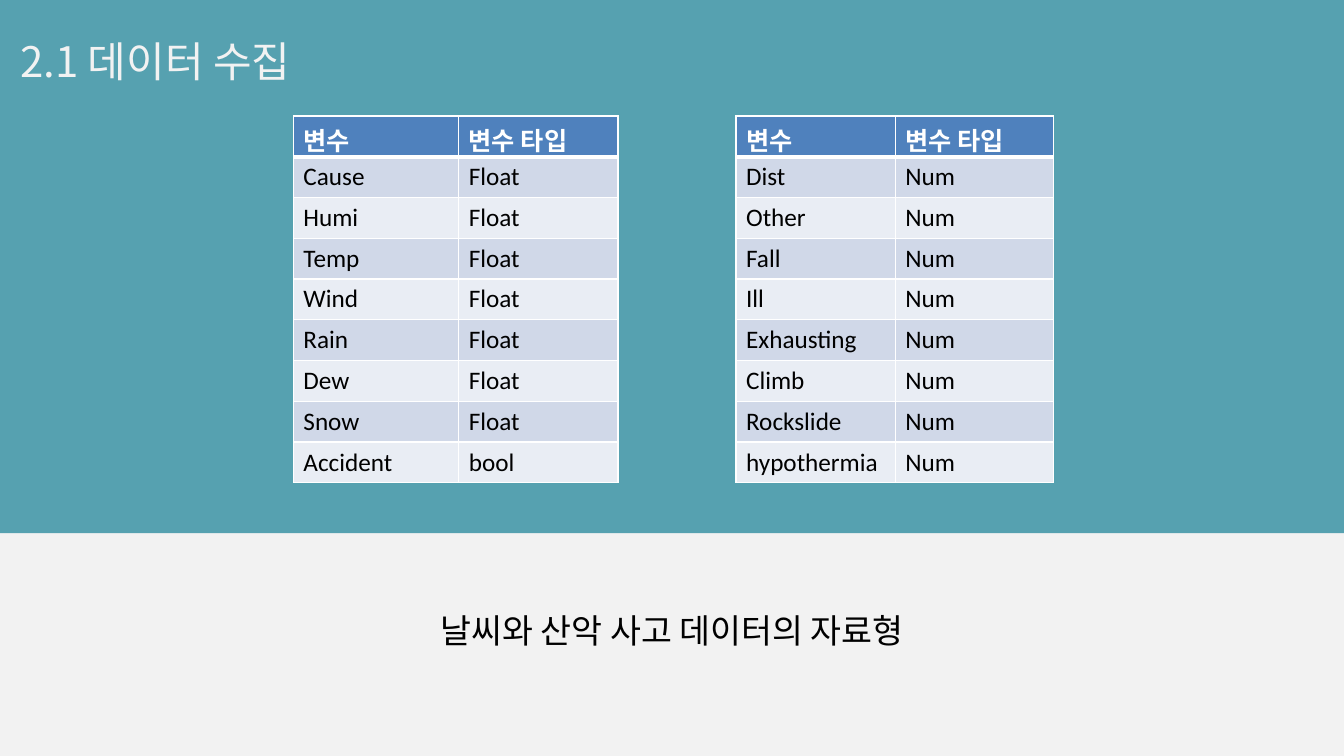
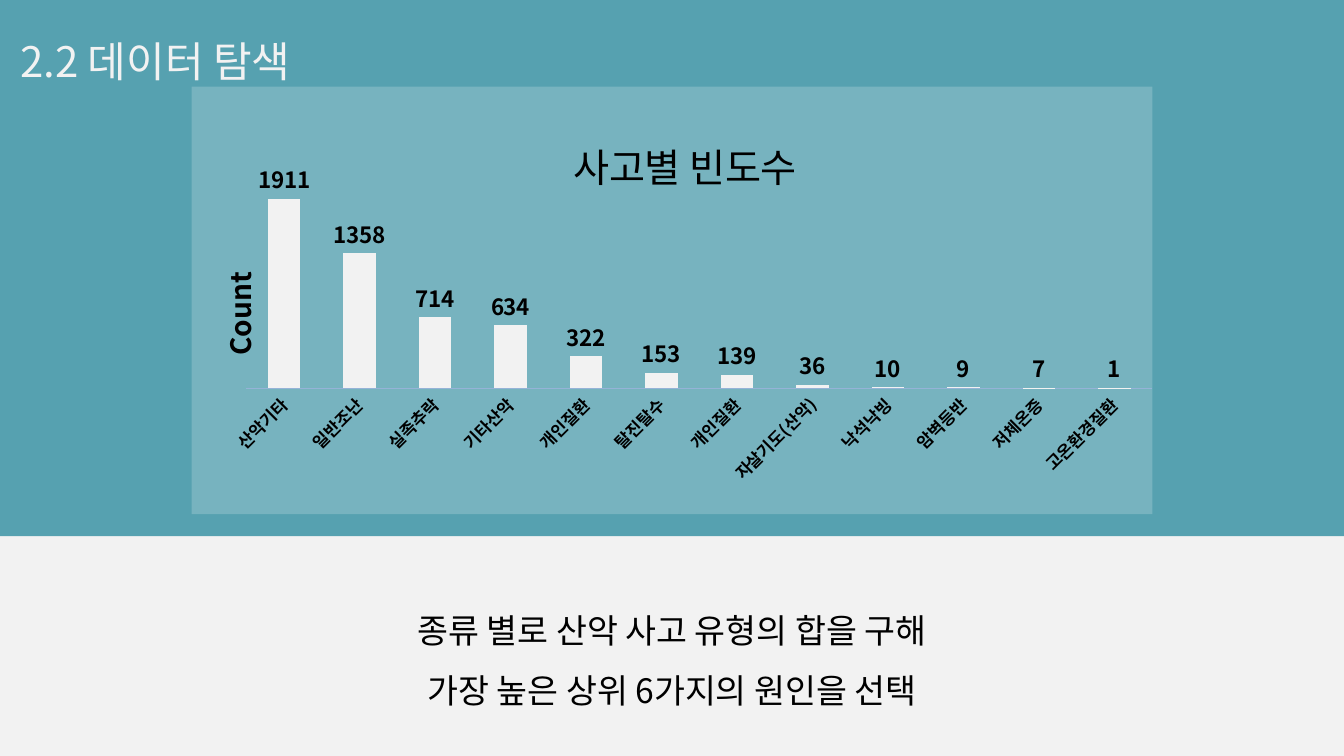
from dataclasses import dataclass

from pptx import Presentation
from pptx.chart.data import CategoryChartData
from pptx.dml.color import RGBColor
from pptx.enum.chart import XL_CHART_TYPE, XL_LABEL_POSITION, XL_TICK_MARK
from pptx.enum.shapes import MSO_SHAPE
from pptx.enum.text import MSO_ANCHOR, MSO_AUTO_SIZE, PP_ALIGN
from pptx.oxml import parse_xml
from pptx.oxml.ns import nsdecls, qn
from pptx.util import Inches, Pt

SANS, LATIN = "Noto Sans CJK KR", "Calibri"
TEAL, PALE, WHITE, BLACK = "56A1B0", "F2F2F2", "FFFFFF", "000000"
HEAD, ODD, EVEN, AXIS = "4F81BD", "D0D8E8", "E9EDF4", "95B3D7"


@dataclass
class Page:
    title: str
    caption: str
    caption_height: float
    band_offset: float


@dataclass
class VarTable:
    left: float
    widths: tuple[float, float]
    rows: list[tuple[str, str]]


PAGES = [
    Page("2.1 데이터 수집", "날씨와 산악 사고 데이터의 자료형", 0.66, -0.03),
    Page("2.2 데이터 탐색",
         "종류 별로 산악 사고 유형의 합을 구해\n가장 높은 상위 6가지의 원인을 선택", 1.31, 0),
]

WEATHER = ["Cause", "Humi", "Temp", "Wind", "Rain", "Dew", "Snow"]
ACCIDENTS = ["Dist", "Other", "Fall", "Ill", "Exhausting", "Climb",
             "Rockslide", "hypothermia"]
TABLES = [
    VarTable(7.3, (1.58, 1.57), [(name, "Num") for name in ACCIDENTS]),
    VarTable(2.91, (1.64, 1.58),
             [(name, "Float") for name in WEATHER] + [("Accident", "bool")]),
]

COUNTS = [
    ("산악기타", 1911), ("일반조난", 1358), ("실족추락", 714), ("기타산악", 634),
    ("개인질환", 322), ("탈진탈수", 153), ("개인질환", 139), ("자살기도(산악)", 36),
    ("낙석낙빙", 10), ("암벽등반", 9), ("저체온증", 7), ("고온환경질환", 1),
]


def rgb(color: str) -> RGBColor:
    return RGBColor.from_string(color)


def set_font(font, size: float, color: str, name: str = SANS, bold: bool = False) -> None:
    font.size, font.name, font.bold = Pt(size), name, bold
    font.color.rgb = rgb(color)


def set_east_asian(root) -> None:
    for latin in list(root.iter(qn("a:latin"))):
        if latin.get("typeface") == SANS:
            latin.addnext(parse_xml(f'<a:ea {nsdecls("a")} typeface="{SANS}"/>'))


def write_text(sp, text: str, size: float, color: str, align: PP_ALIGN) -> None:
    tf = sp.text_frame
    tf.text = text
    tf.word_wrap = True
    tf.auto_size = MSO_AUTO_SIZE.SHAPE_TO_FIT_TEXT
    tf.vertical_anchor = MSO_ANCHOR.TOP
    for p in tf.paragraphs:
        p.alignment, p.line_spacing = align, 1.5
        for r in p.runs:
            set_font(r.font, size, color)
    set_east_asian(sp.element)


def add_page(prs, page: Page):
    s = prs.slides.add_slide(prs.slide_layouts.get_by_name("Title Only"))
    offset = page.band_offset
    band = s.shapes.add_shape(MSO_SHAPE.RECTANGLE, Inches(offset), Inches(offset),
                              Inches(13.33 - offset), Inches(5.32))
    band.shadow.inherit = False
    band.fill.solid()
    band.fill.fore_color.rgb = rgb(TEAL)
    band.line.fill.background()
    title = s.shapes.title
    title.element.addprevious(band.element)
    title.left, title.top = Inches(0.1), Inches(0.05)
    title.width, title.height = Inches(5.35), Inches(0.8)
    write_text(title, page.title, 30, PALE, PP_ALIGN.LEFT)
    caption = s.shapes.add_textbox(Inches(2.53), Inches(5.8), Inches(8.27),
                                   Inches(page.caption_height))
    write_text(caption, page.caption, 24, BLACK, PP_ALIGN.CENTER)
    return s


def set_borders(cell, top: float, bottom: float) -> None:
    tcPr = cell._tc.get_or_add_tcPr()
    for side, width in (("L", 1), ("R", 1), ("T", top), ("B", bottom)):
        tcPr.append(parse_xml(
            f'<a:ln{side} {nsdecls("a")} w="{Pt(width)}"><a:solidFill>'
            f'<a:srgbClr val="{WHITE}"/></a:solidFill></a:ln{side}>'))


def add_var_table(s, spec: VarTable) -> None:
    rows = [("변수", "변수 타입")] + spec.rows
    table = s.shapes.add_table(len(rows), 2, Inches(spec.left), Inches(1.15),
                               Inches(sum(spec.widths)), Inches(3.64)).table
    for column, width in zip(table.columns, spec.widths):
        column.width = Inches(width)
    for i, row in enumerate(rows):
        fill = HEAD if i == 0 else ODD if i % 2 else EVEN
        for j, text in enumerate(row):
            cell = table.cell(i, j)
            set_borders(cell, 3 if i == 1 else 1, 3 if i == 0 else 1)
            cell.fill.solid()
            cell.fill.fore_color.rgb = rgb(fill)
            cell.text_frame.text = text
            set_font(cell.text_frame.paragraphs[0].runs[0].font, 18,
                     BLACK if i else WHITE, LATIN, i == 0)


def set_layout(parent, index: int, **values) -> None:
    for old in parent.findall(qn("c:layout")):
        parent.remove(old)
    items = "".join(f'<c:{key} val="{value}"/>' for key, value in values.items())
    parent.insert(index, parse_xml(
        f'<c:layout {nsdecls("c")}><c:manualLayout>{items}</c:manualLayout></c:layout>'))


def write_chart_title(owner, text: str, size: float, bold: bool) -> None:
    tf = owner.text_frame
    tf.text = text
    set_font(tf.paragraphs[0].runs[0].font, size, BLACK, bold=bold)


def add_count_chart(s) -> None:
    data = CategoryChartData()
    data.categories = [name for name, _ in COUNTS]
    data.add_series("Series 1", [count for _, count in COUNTS])
    chart = s.shapes.add_chart(XL_CHART_TYPE.COLUMN_CLUSTERED, Inches(1.9), Inches(0.86),
                               Inches(9.53), Inches(4.24), data).chart
    set_font(chart.font, 10, BLACK, LATIN)
    chart.has_legend = False
    write_chart_title(chart.chart_title, "사고별 빈도수", 28, False)

    plot = chart.plots[0]
    plot.gap_width, plot.overlap, plot.vary_by_categories = 133, 4, False
    fill = plot.series[0].format.fill
    fill.solid()
    fill.fore_color.rgb = rgb(PALE)
    plot.has_data_labels = True
    labels = plot.data_labels
    labels.show_value = True
    labels.position = XL_LABEL_POSITION.OUTSIDE_END
    set_font(labels.font, 16, BLACK, bold=True)

    cats = chart.category_axis
    cats.major_tick_mark = cats.minor_tick_mark = XL_TICK_MARK.NONE
    cats.format.line.color.rgb = rgb(AXIS)
    cats.format.line.width = Pt(0.25)
    set_font(cats.tick_labels.font, 12, BLACK, bold=True)

    vals = chart.value_axis
    vals.minimum_scale, vals.maximum_scale = 0, 2500
    vals.has_major_gridlines = False
    vals.visible = False
    write_chart_title(vals.axis_title, "Count", 20, True)

    root = chart.element
    root.xpath(".//c:catAx/c:txPr/a:bodyPr")[0].set("rot", "-2700000")
    body = root.xpath(".//c:valAx/c:title//a:bodyPr")[0]
    body.set("rot", "-5400000")
    body.set("vert", "horz")
    set_layout(root.xpath("c:chart/c:title")[0], 1, xMode="edge", yMode="edge", x=0.39, y=0.09)
    set_layout(root.xpath(".//c:valAx/c:title")[0], 1, xMode="edge", yMode="edge", x=0.02, y=0.42)
    set_layout(root.xpath(".//c:plotArea")[0], 0, layoutTarget="inner", xMode="edge",
               yMode="edge", x=0.057, y=0.125, w=0.943, h=0.581)
    root.xpath("c:txPr")[0].addprevious(parse_xml(
        f'<c:spPr {nsdecls("c", "a")}><a:solidFill><a:srgbClr val="{WHITE}">'
        '<a:alpha val="20000"/></a:srgbClr></a:solidFill><a:ln><a:noFill/></a:ln></c:spPr>'))
    set_east_asian(root)


def main() -> None:
    prs = Presentation()
    prs.slide_width, prs.slide_height = Inches(13.33), Inches(7.5)
    background = prs.slide_master.background.fill
    background.solid()
    background.fore_color.rgb = rgb(PALE)
    collection, exploration = [add_page(prs, page) for page in PAGES]
    for spec in TABLES:
        add_var_table(collection, spec)
    add_count_chart(exploration)
    prs.save("out.pptx")


if __name__ == "__main__":
    main()
